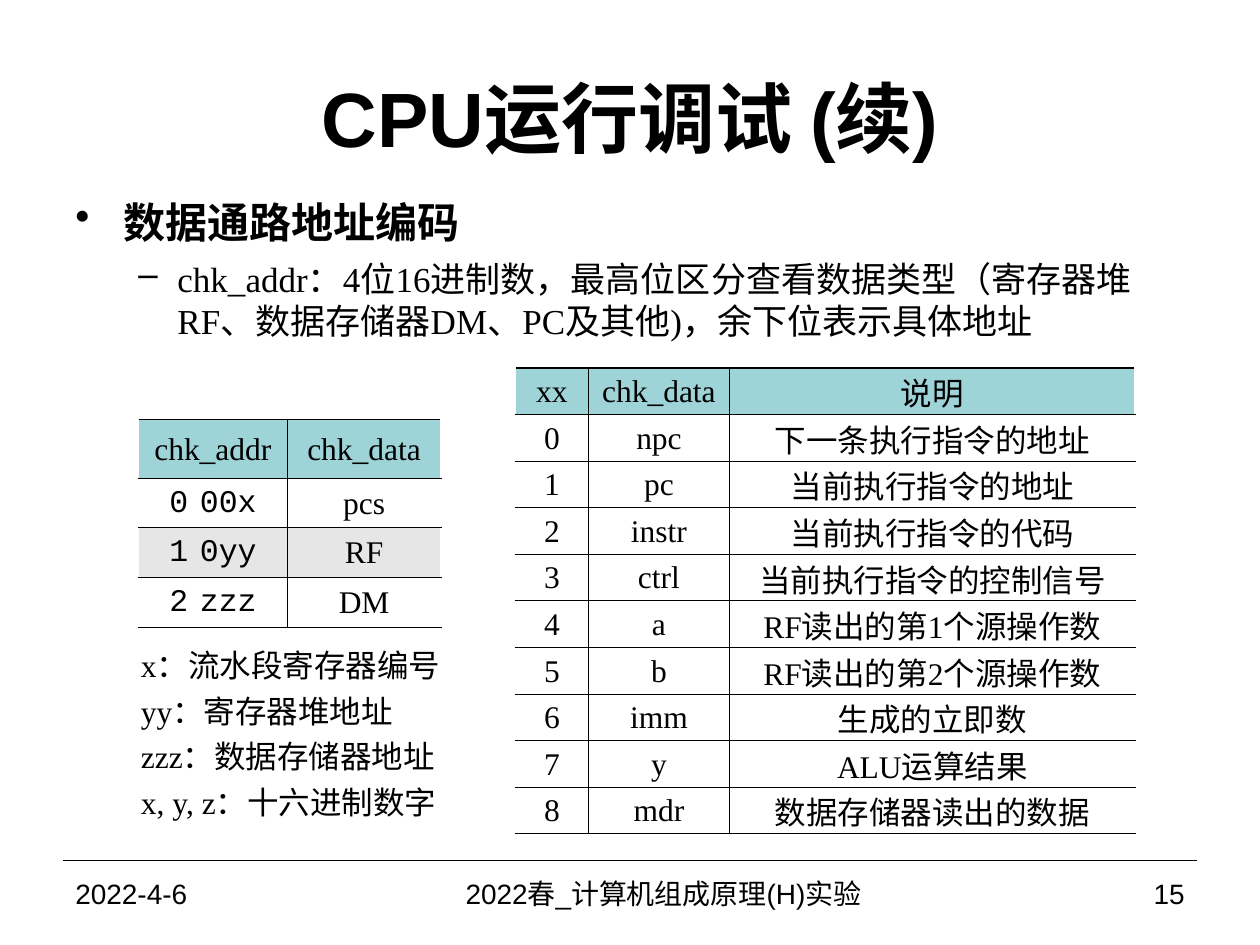
import pptx
import pptx.util
import pptx.dml.color
import pptx.enum.text
import pptx.enum.shapes
import pptx.oxml
import pptx.oxml.ns

Inches, Pt = pptx.util.Inches, pptx.util.Pt
RGB = pptx.dml.color.RGBColor.from_string
ALIGN = pptx.enum.text.PP_ALIGN
MIDDLE = pptx.enum.text.MSO_ANCHOR.MIDDLE
TOP = pptx.enum.text.MSO_ANCHOR.TOP

THEME = {
    "ink": "000000", "header": "9ED3D7", "band": "E6E6E6",
    "sans": "Arial", "serif": "Times New Roman", "mono": "Courier New",
    "cjk": "Noto Sans CJK SC",
    "title": 44, "head": 24, "body": 20, "text": 18, "footer": 16, "gap": 11,
}

# Content
TITLE = "CPU运行调试 (续)"
BULLETS = [
    # text, bullet, size, bold, left margin, hanging indent
    ("数据通路地址编码", "•", "head", True, 0.38, -0.38),
    ("chk_addr:4位16进制数,最高位区分查看数据类型(寄存器堆RF、数据存储器DM、"
     "PC及其他),余下位表示具体地址", "–", "body", False, 0.81, -0.31),
]
BULLETS[1] = ("chk_addr\uff1a4位16进制数\uff0c最高位区分查看数据类型\uff08寄存器堆RF、"
              "数据存储器DM、PC及其他)\uff0c余下位表示具体地址",) + BULLETS[1][1:]
LEGEND = [("x", "流水段寄存器编号"), ("yy", "寄存器堆地址"),
          ("zzz", "数据存储器地址"), ("x, y, z", "十六进制数字")]
ADDRESSES = [("chk_addr", "chk_data"),
             (("0", "00x"), "pcs"), (("1", "0yy"), "RF"), (("2", "zzz"), "DM")]
SIGNALS = [("npc", "下一条执行指令的地址"), ("pc", "当前执行指令的地址"),
           ("instr", "当前执行指令的代码"), ("ctrl", "当前执行指令的控制信号"),
           ("a", "RF读出的第1个源操作数"), ("b", "RF读出的第2个源操作数"),
           ("imm", "生成的立即数"), ("y", "ALU运算结果"),
           ("mdr", "数据存储器读出的数据")]
SIGNAL_ROWS = [("xx", "chk_data", "说明")]
SIGNAL_ROWS += [(str(i), *row) for i, row in enumerate(SIGNALS)]
FOOTER = [("2022-4-6", 2.33, ALIGN.LEFT),
          ("2022春_计算机组成原理(H)实验 ", 4.92, ALIGN.CENTER),
          ("15", 1.75, ALIGN.RIGHT)]

prs = pptx.Presentation()
prs.slide_width, prs.slide_height = Inches(10), Inches(7.5)
slide = prs.slides.add_slide(prs.slide_layouts[6])
MARGIN, FOOT_TOP, FOOT_H = 0.5, 6.83, 0.52


def add_run(p, text, size="text", font="serif", bold=False):
    r = p.add_run()
    r.text = text
    fmt = {"size": Pt(THEME[size]), "name": THEME[font], "bold": bold}
    for key, value in fmt.items():
        setattr(r.font, key, value)
    r.font.color.rgb = RGB(THEME["ink"])
    ea = pptx.oxml.parse_xml(
        f'<a:ea {pptx.oxml.ns.nsdecls("a")} typeface="{THEME["cjk"]}"/>')
    r.font._element.find(pptx.oxml.ns.qn("a:latin")).addnext(ea)


def add_box(left, top, width, height, anchor=MIDDLE):
    sp = slide.shapes.add_textbox(*map(Inches, (left, top, width, height)))
    tf = sp.text_frame
    for key, value in {"word_wrap": True, "vertical_anchor": anchor}.items():
        setattr(tf, key, value)
    return tf


def next_paragraph(tf, i):
    return tf.add_paragraph() if i else tf.paragraphs[0]


def set_borders(cell, **widths):
    tcPr = cell._tc.get_or_add_tcPr()
    sides = [s for s in "LRTB" if s in widths]
    for i, side in enumerate(sides):
        tcPr.insert(i, pptx.oxml.parse_xml(
            f'<a:ln{side} {pptx.oxml.ns.nsdecls("a")} w="{int(Pt(widths[side]))}">'
            f'<a:solidFill><a:srgbClr val="{THEME["ink"]}"/></a:solidFill>'
            f'</a:ln{side}>'))


def add_grid(rows, left, top, cols, heights, divider, banded=None):
    frame = slide.shapes.add_table(
        len(rows), len(cols), Inches(left), Inches(top),
        Inches(sum(cols)), Inches(sum(heights)))
    table = frame.table
    table.first_row = table.horz_banding = False
    for col, width in zip(table.columns, cols):
        col.width = Inches(width)
    for row, height in zip(table.rows, heights):
        row.height = Inches(height)
    last = len(rows) - 1
    for i, row in enumerate(rows):
        for j, value in enumerate(row):
            cell = table.cell(i, j)
            fmt = {"vertical_anchor": MIDDLE, "margin_left": Inches(0.01),
                   "margin_right": Inches(0.01), "margin_top": Inches(0.01),
                   "margin_bottom": 0}
            for key, item in fmt.items():
                setattr(cell, key, item)
            p = cell.text_frame.paragraphs[0]
            p.alignment = ALIGN.CENTER
            if isinstance(value, tuple):
                kind, address = value
                add_run(p, kind, font="mono")
                add_run(p, " ", "gap", "mono")
                add_run(p, address, font="mono")
            else:
                add_run(p, value)
            fill = "header" if i == 0 else "band" if i == banded else None
            if fill:
                cell.fill.solid()
                cell.fill.fore_color.rgb = RGB(THEME[fill])
            else:
                cell.fill.background()
            # Heavy rules frame the header and close the table
            edges = {"T": 1 if i <= 1 else 0.5, "B": 1 if i in (0, last) else 0.5}
            if j:
                edges["L"] = divider
            if j < len(cols) - 1:
                edges["R"] = divider
            set_borders(cell, **edges)


# Title
p = add_box(MARGIN, 0.3, 9, 1.25).paragraphs[0]
p.alignment = ALIGN.CENTER
add_run(p, TITLE, "title", "sans", True)

# Bulleted body
tf = add_box(MARGIN, 1.51, 8.87, 1.38, TOP)
for i, (text, mark, size, bold, left, hang) in enumerate(BULLETS):
    p = next_paragraph(tf, i)
    p.space_before = Pt(6)
    add_run(p, text, size, bold=bold)
    pPr = p._p.get_or_add_pPr()
    pPr.set("marL", str(int(Inches(left))))
    pPr.set("indent", str(int(Inches(hang))))
    pPr.append(pptx.oxml.parse_xml(
        f'<a:buChar {pptx.oxml.ns.nsdecls("a")} char="{mark}"/>'))

# Tables
add_grid(ADDRESSES, 1.1, 3.33, [1.18, 1.22], [0.47, 0.39, 0.39, 0.4], 1, banded=2)
add_grid(SIGNAL_ROWS, 4.09, 2.92, [0.58, 1.12, 3.22],
         [0.37] * len(SIGNAL_ROWS), 0.5)

# Legend
tf = add_box(1.02, 5, 2.68, 1.58)
for i, (symbol, meaning) in enumerate(LEGEND):
    p = next_paragraph(tf, i)
    p.line_spacing = Pt(26)
    add_run(p, f"{symbol}\uff1a{meaning}")

# Footer
line = slide.shapes.add_connector(
    pptx.enum.shapes.MSO_CONNECTOR.STRAIGHT,
    *map(Inches, (MARGIN, FOOT_TOP, 10 - MARGIN, FOOT_TOP)))
line.line.color.rgb = RGB(THEME["ink"])
line.line.width = Pt(0.75)
line._element.spPr.append(pptx.oxml.parse_xml(
    f'<a:effectLst {pptx.oxml.ns.nsdecls("a")}/>'))
left = MARGIN
for text, width, align in FOOTER:
    p = add_box(left, FOOT_TOP, width, FOOT_H).paragraphs[0]
    p.alignment = align
    add_run(p, text, "footer", "sans")
    left += width

prs.save("out.pptx")
